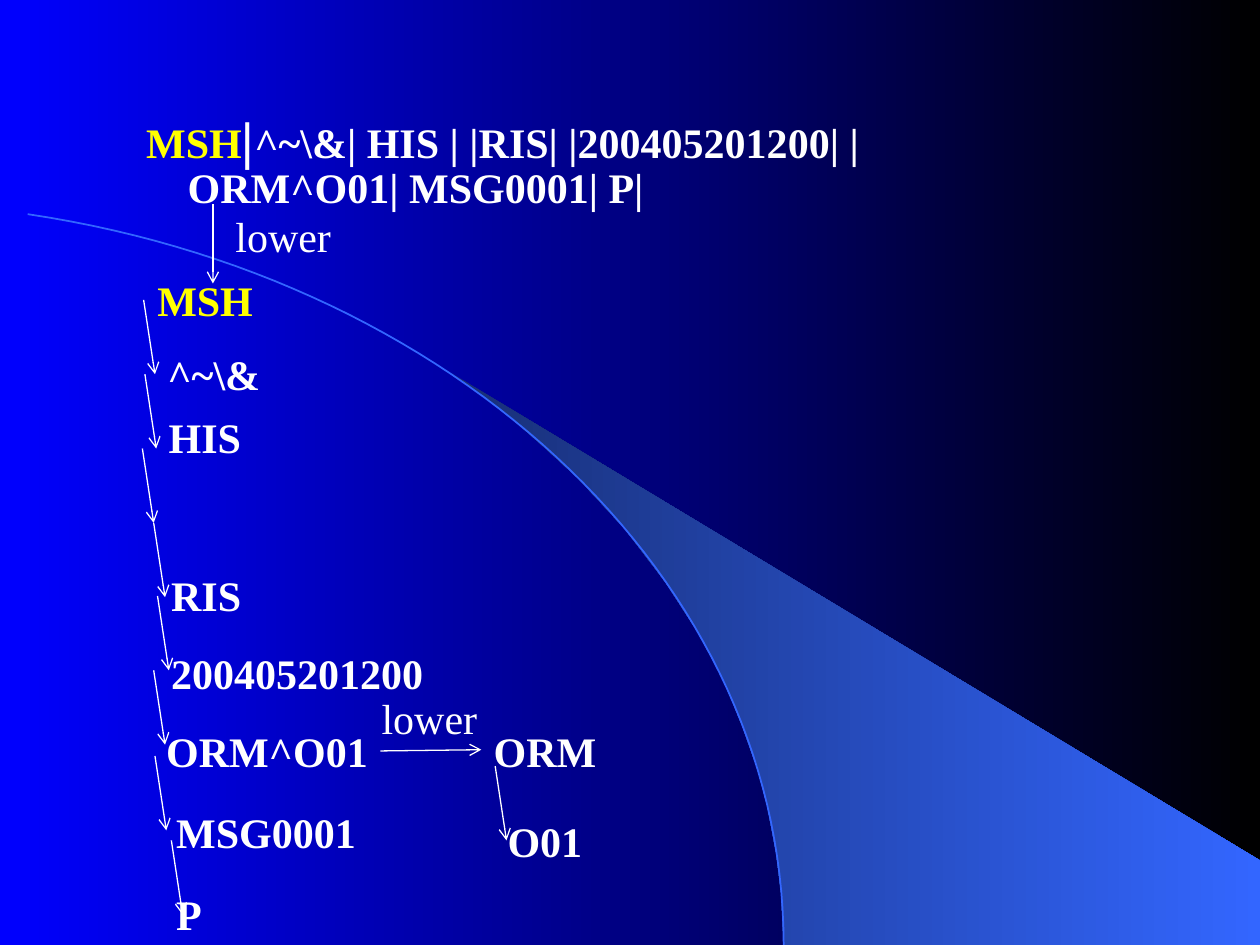
"""Build the slide that breaks an HL7 message header into a linked tree of fields."""
import pptx
import pptx.dml.color
import pptx.enum.shapes
import pptx.enum.text
import pptx.util
from lxml import etree
from pptx.oxml.ns import qn

SCALE = pptx.util.Inches(1) // 100
WHITE = pptx.dml.color.RGBColor(0xFF, 0xFF, 0xFF)
YELLOW = pptx.dml.color.RGBColor(0xFF, 0xFF, 0x00)
BLUE = pptx.dml.color.RGBColor(0x00, 0x00, 0xFF)
BLACK = pptx.dml.color.RGBColor(0x00, 0x00, 0x00)
NAVY = pptx.dml.color.RGBColor(0x18, 0x2F, 0x76)
AZURE = pptx.dml.color.RGBColor(0x33, 0x66, 0xFF)
SERIF = "Times New Roman"
SANS = "Noto Sans CJK SC"

ARC = [(22, 170), (370, 222), (622, 466), (622, 750)]
BEAM = [
    (622, 750), (1000, 750), (1000, 683), (358, 296), (386, 317), (408, 334),
    (434, 357), (459, 380), (496, 420), (528, 462), (552, 499), (573, 537),
    (589, 576), (601, 610), (609, 640), (616, 677), (620, 709),
]
HEADER = [("MSH", YELLOW, SERIF), ("|", WHITE, SANS),
          ("^~\\&| HIS | |RIS| |200405201200| |", WHITE, SERIF)]
FIELDS = [
    ("^~\\&", 123, 272, 96), ("HIS", 124, 322, 79), ("RIS", 126, 447, 77),
    ("200405201200", 126, 509, 222), ("ORM^O01", 122, 571, 182),
    ("MSG0001", 130, 635, 164), ("P", 130, 700, 42),
    ("ORM", 382, 571, 103), ("O01", 393, 642, 81),
]
LOWER_LABELS = [(177, 162), (293, 545)]
NEXT_STARTS = [(114, 238), (115, 297), (113, 356), (122, 415), (125, 473),
               (122, 532), (123, 600), (136, 667), (393, 608)]
NEXT_STEP = (9, 59)
LOWER_ARROWS = [((302, 596), (382, 595)), ((169, 162), (169, 225))]


def bezier(points, steps=60):
    """Return points along a cubic curve."""
    weights = [((1 - t) ** 3, 3 * t * (1 - t) ** 2, 3 * t * t * (1 - t), t ** 3)
               for t in (step / steps for step in range(steps + 1))]
    return [tuple(sum(w * point[axis] for w, point in zip(row, points))
                  for axis in (0, 1)) for row in weights]


class Deck:
    """Hold the text style and the current slide."""

    def __init__(self):
        self.size = pptx.util.Pt(24)
        self.line_width = pptx.util.Pt(0.75)
        self.presentation = pptx.Presentation()
        self.presentation.slide_width = self.px(1000)
        self.presentation.slide_height = self.px(750)
        layout = self.presentation.slide_layouts.get_by_name("Title Only")
        self.slide = self.presentation.slides.add_slide(layout)

    def px(self, length):
        return pptx.util.Emu(round(length * SCALE))

    def gradient(self, fill, start, end):
        fill.gradient()
        fill.gradient_angle = 0
        for stop, color in zip(fill.gradient_stops, (start, end)):
            stop.color.rgb = color

    def style(self, run, color=WHITE, name=SERIF, bold=True):
        run.font.name, run.font.size, run.font.bold = name, self.size, bold
        run.font.color.rgb = color

    def outline(self, points, closed):
        (start, *rest) = [(self.px(x), self.px(y)) for x, y in points]
        builder = self.slide.shapes.build_freeform(*start, scale=1.0)
        builder.add_line_segments(rest, close=closed)
        shape = builder.convert_to_shape()
        shape.shadow.inherit = False
        return shape

    def beam(self, points):
        shape = self.outline(points, True)
        self.gradient(shape.fill, NAVY, AZURE)
        shape.line.fill.background()

    def arc(self, points):
        shape = self.outline(bezier(points), False)
        shape.fill.background()
        shape.line.color.rgb = AZURE
        shape.line.width = pptx.util.Pt(1)

    def header(self, parts, continuation, left, top, width, height):
        title = self.slide.shapes.title
        title.left, title.top = self.px(left), self.px(top)
        title.width, title.height = self.px(width), self.px(height)
        frame = title.text_frame
        frame.auto_size = pptx.enum.text.MSO_AUTO_SIZE.NONE
        frame.vertical_anchor = pptx.enum.text.MSO_ANCHOR.TOP
        first, second = frame.paragraphs[0], frame.add_paragraph()
        for text, color, name in parts:
            run = first.add_run()
            run.text = text
            self.style(run, color, name)
        second.text = continuation
        second._p.get_or_add_pPr().set("marL", str(self.px(33)))
        self.style(second.runs[0])
        for paragraph in frame.paragraphs:
            paragraph.alignment = pptx.enum.text.PP_ALIGN.LEFT
            paragraph.line_spacing = 0.9

    def label(self, text, left, top, width, color=WHITE, bold=True):
        box = self.slide.shapes.add_textbox(
            self.px(left), self.px(top), self.px(width), self.px(50))
        frame = box.text_frame
        frame.word_wrap = False
        frame.auto_size = pptx.enum.text.MSO_AUTO_SIZE.SHAPE_TO_FIT_TEXT
        frame.text = text
        self.style(frame.paragraphs[0].runs[0], color, bold=bold)

    def arrow(self, start, end):
        connector = self.slide.shapes.add_connector(
            pptx.enum.shapes.MSO_CONNECTOR.STRAIGHT,
            *(self.px(length) for length in (*start, *end)))
        connector.line.color.rgb = WHITE
        connector.line.width = self.line_width
        line = connector.line._get_or_add_ln()
        etree.SubElement(line, qn("a:tailEnd"), type="arrow")
        etree.SubElement(connector._element.spPr, qn("a:effectLst"))


def main():
    deck = Deck()
    deck.gradient(deck.slide.background.fill, BLUE, BLACK)
    deck.beam(BEAM)
    deck.arc(ARC)
    deck.header(HEADER, "ORM^O01| MSG0001| P|", 106, 92, 787, 82)
    deck.label("MSH", 115, 213, 97, YELLOW)
    for field in FIELDS:
        deck.label(*field)
    for left, top in LOWER_LABELS:
        deck.label("lower", left, top, 97, bold=False)
    for x, y in NEXT_STARTS:
        deck.arrow((x, y), (x + NEXT_STEP[0], y + NEXT_STEP[1]))
    for start, end in LOWER_ARROWS:
        deck.arrow(start, end)
    deck.presentation.save("out.pptx")


if __name__ == "__main__":
    main()
